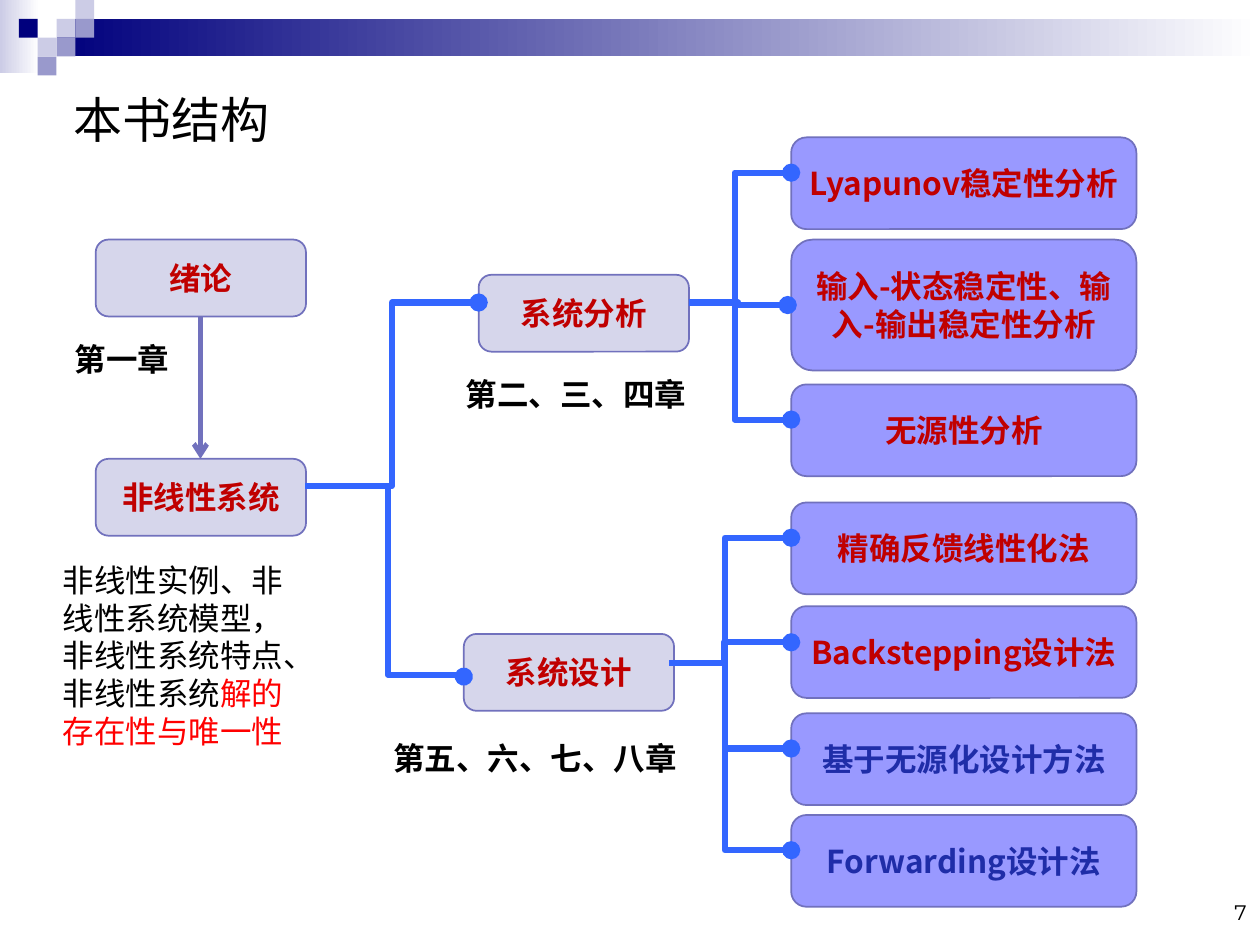
from lxml import etree
from pptx import Presentation
from pptx import util as u
from pptx.dml.color import RGBColor
from pptx.enum import shapes, text
from pptx.oxml.ns import qn

HUES = {
    "navy": "00007D", "mist": "CCCCE6", "haze": "9999CC", "white": "FFFFFF",
    "pale": "D6D6EB", "lilac": "9999FF", "edge": "7171BD", "blue": "3366FF",
    "wine": "C00000", "ink": "1F2DA8", "red": "FF0000", "black": "000000",
}
HAN = "Noto Sans CJK SC"
LEFT, MID, RIGHT = text.PP_ALIGN.LEFT, text.PP_ALIGN.CENTER, text.PP_ALIGN.RIGHT


def hue(name):
    return RGBColor.from_string(HUES[name])


class Deck:
    base = {"size": u.Pt(18), "name": HAN, "bold": False}

    def __init__(self, wide, high):
        self.prs = Presentation()
        self.prs.slide_width, self.prs.slide_height = u.Cm(wide), u.Cm(high)
        self.slide = self.prs.slides.add_slide(self.prs.slide_layouts[6])

    def label(self, frame, runs, align, **style):
        """Fill a text frame with one paragraph of (words, colour) runs."""
        frame.word_wrap = True
        para = frame.paragraphs[0]
        para.alignment = align
        for words, tint in runs:
            run = para.add_run()
            run.text = words
            for key, val in {**self.base, **style}.items():
                setattr(run.font, key, val)
            run.font.color.rgb = hue(tint)
            etree.SubElement(run.font._element, qn("a:ea"), typeface=run.font.name)

    def shape(self, kind, area, fill, line=None):
        """Draw a preset shape; a pair of colours as fill gives a gradient."""
        item = self.slide.shapes.add_shape(kind, *map(u.Cm, area))
        item.shadow.inherit = False
        if isinstance(fill, tuple):
            item.fill.gradient()
            item.fill.gradient_angle = 0
            for stop, tint in zip(item.fill.gradient_stops, fill):
                stop.color.rgb = hue(tint)
        else:
            item.fill.solid()
            item.fill.fore_color.rgb = hue(fill)
        if line:
            item.line.color.rgb = hue(line)
            item.line.width = u.Pt(1)
        else:
            item.line.fill.background()
        return item

    def rect(self, area, fill):
        self.shape(shapes.MSO_SHAPE.RECTANGLE, area, fill)

    def box(self, area, words, fill, tint="wine"):
        item = self.shape(shapes.MSO_SHAPE.ROUNDED_RECTANGLE, area, fill, "edge")
        item.text_frame.vertical_anchor = text.MSO_ANCHOR.MIDDLE
        self.label(item.text_frame, [(words, tint)], MID, bold=True)

    def note(self, area, runs, align=LEFT, anchor=text.MSO_ANCHOR.TOP, **style):
        frame = self.slide.shapes.add_textbox(*map(u.Cm, area)).text_frame
        frame.vertical_anchor = anchor
        self.label(frame, runs, align, **style)

    def line(self, start, end, tint, width, tail, kind=shapes.MSO_CONNECTOR.STRAIGHT):
        item = self.slide.shapes.add_connector(kind, *map(u.Cm, (*start, *end)))
        item.line.color.rgb = hue(tint)
        item.line.width = u.Pt(width)
        props = item._element.spPr
        etree.SubElement(props.find(qn("a:ln")), qn("a:tailEnd"), type=tail)
        etree.SubElement(props, qn("a:effectLst"))
        return props

    def bend(self, start, end, mid=None, drop=False):
        """Link two points by an elbow that turns at the share mid.

        With drop it leaves vertically; without mid it has one corner only.
        """
        turn = 0
        if drop:
            (x1, y1), (x2, y2) = start, end
            down = y2 > y1
            turn = 90 if down else 270
            cx, cy = (x1 + x2) / 2, (y1 + y2) / 2
            dx, dy = abs(y2 - y1) / 2, (x2 - x1) / 2 * (1 if down else -1)
            start, end = (cx - dx, cy + dy), (cx + dx, cy - dy)
        props = self.line(start, end, "blue", 3.5, "oval", shapes.MSO_CONNECTOR.ELBOW)
        if turn:
            props.find(qn("a:xfrm")).set("rot", str(turn * 60000))
        geom = props.find(qn("a:prstGeom"))
        if mid is None:
            geom.set("prst", "bentConnector2")
        else:
            guide = geom.find(qn("a:avLst"))
            etree.SubElement(guide, qn("a:gd"), name="adj1",
                             fmla=f"val {round(mid * 100000)}")


def banner(deck):
    deck.rect((0, 0, 0.79, 1.47), ("mist", "white"))
    deck.rect((1.14, 0.38, 24.26, 0.76), ("navy", "white"))
    cell = 0.38
    for col, row, tint in [(3, 1, "mist"), (4, 0, "mist"), (4, 1, "haze"),
                           (2, 2, "mist"), (1, 1, "navy"), (3, 2, "haze"),
                           (2, 3, "haze")]:
        deck.rect((col * cell, row * cell, cell, cell), tint)


def main():
    deck = Deck(25.4, 19.05)
    banner(deck)

    for left, top, words in [(1.93, 4.83, "绪论"), (1.93, 9.25, "非线性系统"),
                             (9.65, 5.54, "系统分析"), (9.35, 12.78, "系统设计")]:
        deck.box((left, top, 4.24, 1.55), words, "pale")

    edge, port = 15.95, 0.71
    topics = [
        (2.77, 1.85, "Lyapunov稳定性分析", "wine"),
        (4.83, 2.64, "输入-状态稳定性、输入-输出稳定性分析", "wine"),
        (7.75, 1.85, "无源性分析", "wine"),
        (10.13, 1.85, "精确反馈线性化法", "wine"),
        (12.22, 1.85, "Backstepping设计法", "wine"),
        (14.38, 1.85, "基于无源化设计方法", "ink"),
        (16.43, 1.85, "Forwarding设计法", "ink"),
    ]
    for top, high, words, tint in topics:
        deck.box((edge, top, 6.96, high), words, "lilac", tint)

    deck.bend((6.15, 9.8), (9.65, 6.1), 0.5)
    deck.bend((7.82, 9.8), (9.35, 13.64), 0.99, drop=True)
    deck.bend((13.89, 6.1), (15.88, 6.15), 0.5)
    deck.bend((13.49, 13.36), (edge, 12.95), 0.45)
    trunks = {0: (14.81, 6.12), 2: (14.81, 6.15), 3: (14.61, 13.13),
              5: (14.61, 12.47), 6: (14.61, 15.01)}
    for index, start in trunks.items():
        deck.bend(start, (edge, topics[index][0] + port), drop=True)
    deck.line((4.04, 6.38), (4.04, 9.25), "edge", 2.75, "arrow")

    deck.note((19.46, 17.5, 5.92, 1.27), [("7", "black")], RIGHT,
              text.MSO_ANCHOR.BOTTOM, size=u.Pt(12), name="Montserrat")
    for left, top, wide, words in [(0.74, 6.73, 2.92, "第一章"),
                                   (8.97, 7.44, 5.11, "第二、三、四章"),
                                   (7.39, 14.78, 6.5, "第五、六、七、八章")]:
        deck.note((left, top, wide, 1.02), [(words, "black")], RIGHT, bold=True)
    deck.note((1.24, 1.68, 7.9, 1.45), [("本书结构", "black")], size=u.Pt(28))
    deck.note((1.02, 11.18, 5.33, 4.09), [
        ("非线性实例、非线性系统模型，非线性系统特点、非线性系统", "black"),
        ("解的存在性与唯一性", "red")])

    deck.prs.save("out.pptx")


if __name__ == "__main__":
    main()
